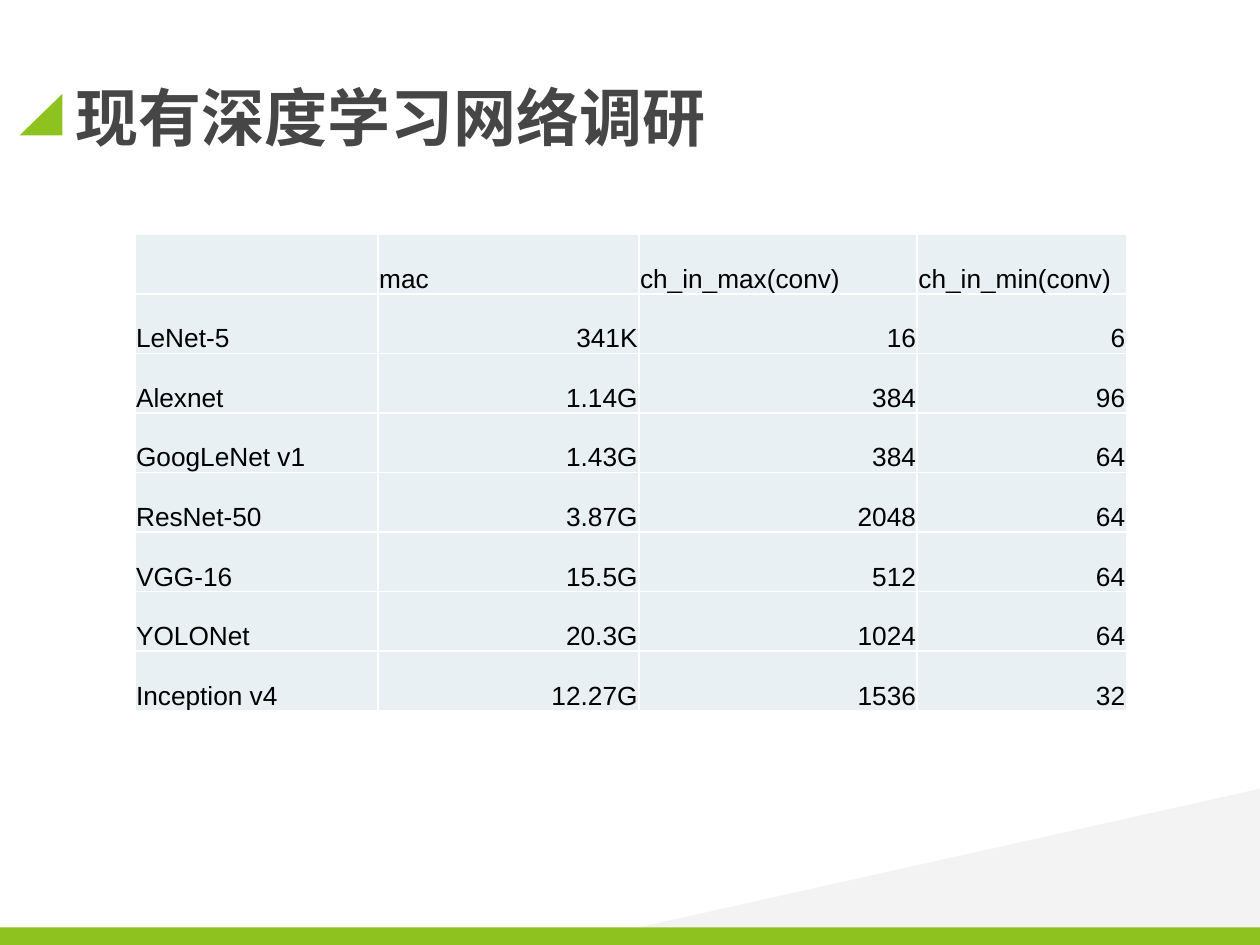
from lxml import etree
from pptx import Presentation
from pptx.dml.color import RGBColor
from pptx.enum.shapes import MSO_SHAPE
from pptx.enum.text import MSO_ANCHOR, PP_ALIGN
from pptx.oxml import parse_xml
from pptx.oxml.ns import nsdecls, qn
from pptx.util import Inches, Pt

GREEN = RGBColor(0x8E, 0xC3, 0x1F)
PALE_GREY = RGBColor(0xF2, 0xF2, 0xF2)
TITLE_GREY = RGBColor(0x46, 0x46, 0x46)
CELL_BLUE = RGBColor(0xE8, 0xF0, 0xF4)
BLACK = RGBColor(0, 0, 0)


def add_block(kind, left, top, width, height, color, rotation=0):
    sp = s.shapes.add_shape(kind, Inches(left), Inches(top), Inches(width), Inches(height))
    sp.rotation = rotation
    sp.shadow.inherit = False
    sp.fill.solid()
    sp.fill.fore_color.rgb = color
    sp.line.fill.background()
    return sp


def add_borders(cell):
    tcPr = cell._tc.get_or_add_tcPr()
    for i, side in enumerate(("lnL", "lnR", "lnT", "lnB")):
        tcPr.insert(i, parse_xml(
            f'<a:{side} {nsdecls("a")} w="12700"><a:solidFill>'
            f'<a:srgbClr val="FFFFFF"/></a:solidFill></a:{side}>'))


prs = Presentation()
prs.slide_width, prs.slide_height = Inches(10), Inches(7.5)
s = prs.slides.add_slide(prs.slide_layouts[6])

wedge = add_block(MSO_SHAPE.RIGHT_TRIANGLE, 6.52, 4.05, 1.27, 5.69, PALE_GREY, 270)
clr = wedge._element.spPr.find(qn("a:solidFill"))[0]
etree.SubElement(clr, qn("a:alpha"), val="90000")
add_block(MSO_SHAPE.RIGHT_TRIANGLE, 0.16, 0.74, 0.33, 0.34, GREEN, 270)
add_block(MSO_SHAPE.RECTANGLE, 0, 7.36, 10, 0.14, GREEN)

rows = [
    ("", "mac", "ch_in_max(conv)", "ch_in_min(conv)"),
    ("LeNet-5", "341K", "16", "6"),
    ("Alexnet", "1.14G", "384", "96"),
    ("GoogLeNet v1", "1.43G", "384", "64"),
    ("ResNet-50", "3.87G", "2048", "64"),
    ("VGG-16", "15.5G", "512", "64"),
    ("YOLONet", "20.3G", "1024", "64"),
    ("Inception v4", "12.27G", "1536", "32"),
]
widths = (1.93, 2.07, 2.21, 1.66)
table = s.shapes.add_table(len(rows), len(widths), Inches(1.07), Inches(1.86),
                           Inches(sum(widths)), Inches(3.78)).table
for column, width in zip(table.columns, widths):
    column.width = Inches(width)
for i, row in enumerate(rows):
    for j, text in enumerate(row):
        cell = table.cell(i, j)
        cell.fill.solid()
        cell.fill.fore_color.rgb = CELL_BLUE
        add_borders(cell)
        cell.vertical_anchor = MSO_ANCHOR.BOTTOM
        cell.margin_left = cell.margin_right = cell.margin_top = Inches(0.01)
        cell.margin_bottom = 0
        p = cell.text_frame.paragraphs[0]
        p.text = text
        p.alignment = PP_ALIGN.RIGHT if i and j else PP_ALIGN.LEFT
        for r in p.runs:
            r.font.name = "Arial"
            r.font.size = Pt(15)
            r.font.bold = False
            r.font.color.rgb = BLACK

title = s.shapes.add_textbox(Inches(0.5), Inches(0.3), Inches(9), Inches(1.25))
tf = title.text_frame
tf.word_wrap = True
tf.vertical_anchor = MSO_ANCHOR.MIDDLE
tf.text = "现有深度学习网络调研"
r = tf.paragraphs[0].runs[0]
r.font.name = "DejaVu Sans Mono"
r.font.size = Pt(36)
r.font.bold = True
r.font.color.rgb = TITLE_GREY

prs.save("out.pptx")
